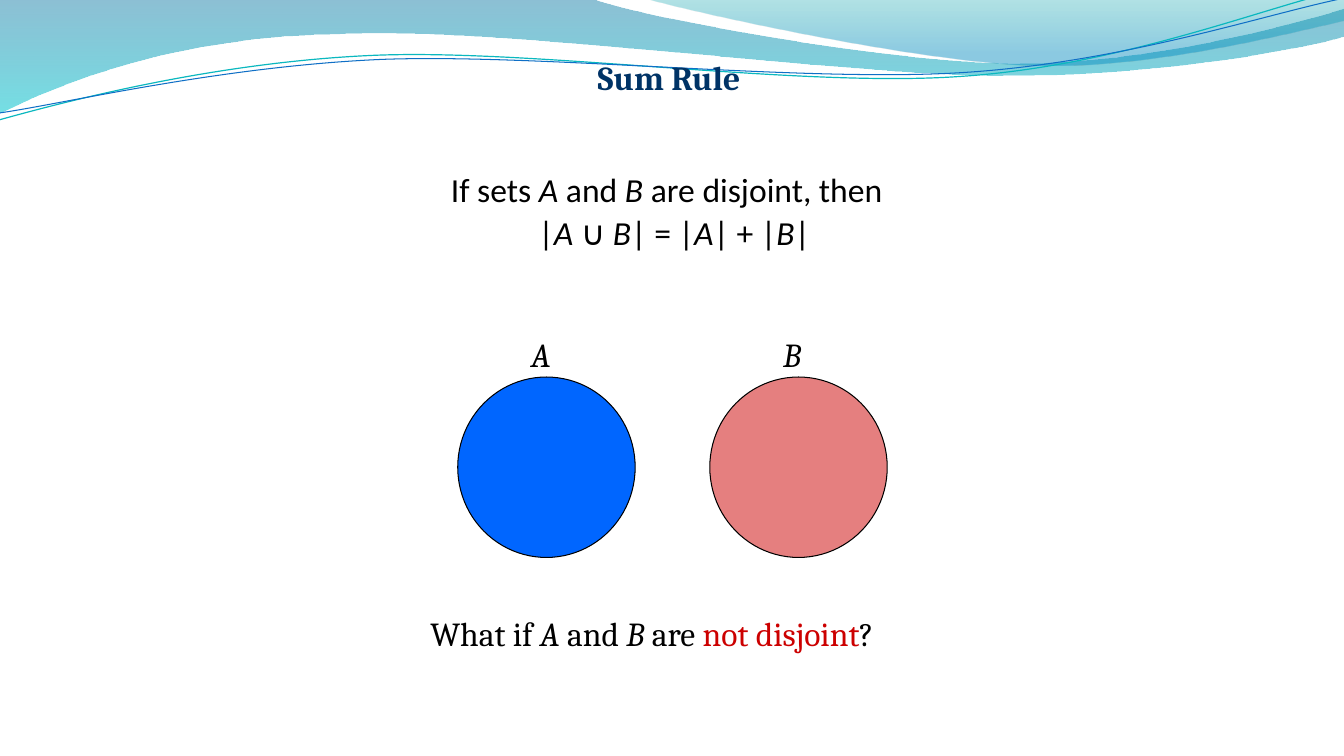
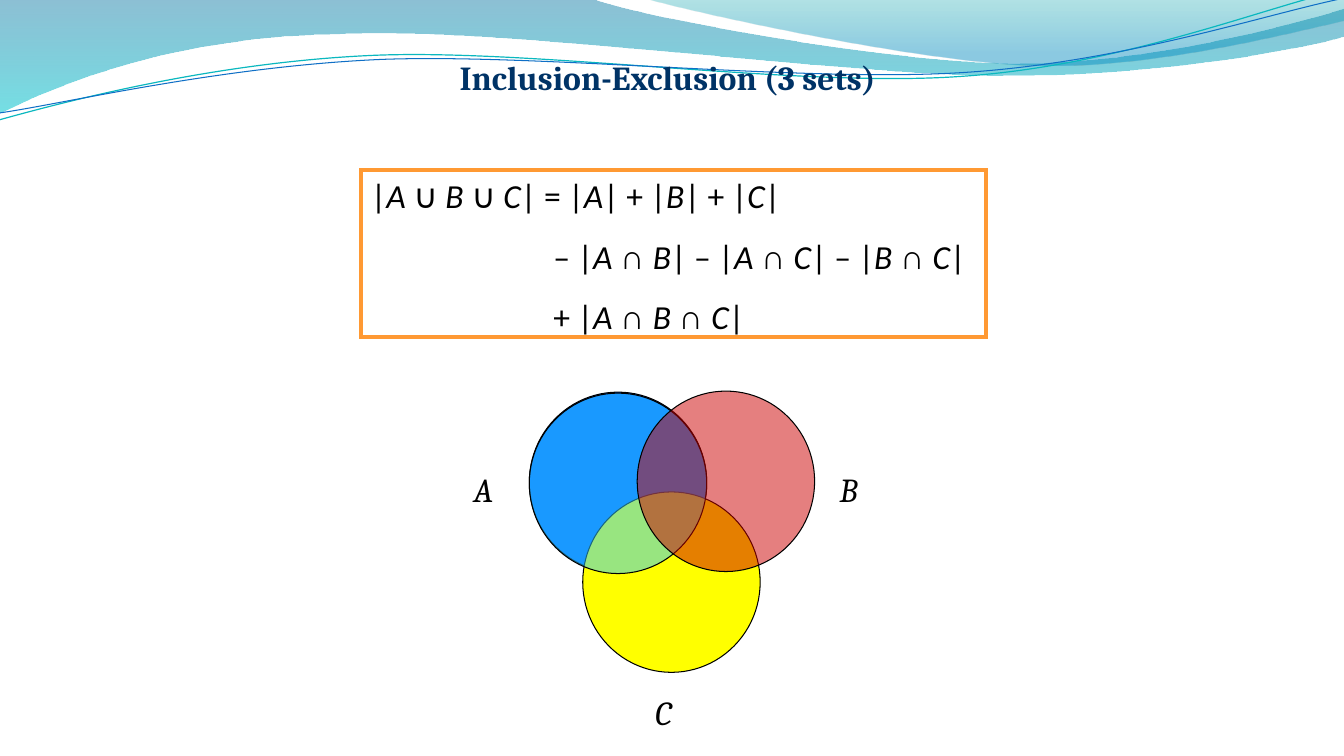
"""Build two slides on counting the members of set unions."""
from math import cos, radians, sin
from lxml import etree
from pptx import Presentation
from pptx.dml.color import RGBColor
from pptx.enum.shapes import MSO_SHAPE as Kind
from pptx.enum.text import MSO_ANCHOR as Anchor, MSO_AUTO_SIZE as Fit, PP_ALIGN as Align
from pptx.oxml.ns import qn
from pptx.util import Inches, Pt

rgb = RGBColor.from_string
BLACK, NAVY, RED, BLUE = "000000", "003366", "CC0000", "0066FF"
ORANGE, YELLOW, SKY = "FF9933", "FFFF00", "33CCFF"
TILT = 2.7


def fade(shape, *levels):
    """Set the opacity, in percent, of the first colours of a shape."""
    for color, level in zip(shape.element.iter(qn("a:srgbClr")), levels):
        etree.SubElement(color, qn("a:alpha"), val=str(level * 1000))


def write(shape, lines, face="Cambria", color=BLACK, bold=None, wrap=False, fit=True):
    """Fill a shape with text; underscores in a line switch italics on and off."""
    frame = shape.text_frame
    frame.word_wrap = wrap
    frame.auto_size = Fit.SHAPE_TO_FIT_TEXT if fit else Fit.NONE
    for row, line in enumerate(lines):
        para = frame.add_paragraph() if row else frame.paragraphs[0]
        font = para.font
        font.name, font.size, font.bold = face, Pt(24), bold
        font.color.rgb = rgb(color)
        for turn, part in enumerate(line.split("_")):
            if part:
                run = para.add_run()
                run.text = part
                if turn % 2:
                    run.font.italic = True
                if part == "∩ ":
                    run.font.name = "Times New Roman"
    return frame.paragraphs


deck = Presentation()
deck.slide_width, deck.slide_height = Inches(13.33), Inches(7.5)
blank = deck.slide_layouts[6]
sums, venn = [deck.slides.add_slide(blank) for _ in range(2)]

bands = [
    ([(0, 0), (5.87, -0.01),
      (6.34, 0.17, 8.85, 0.63, 10.11, 0.63), (11.38, 0.63, 12.78, 0.26, 13.33, 0.09),
      (13.35, 0.36),
      (13.11, 0.44, 11.6, 0.76, 9.94, 0.75), (8.29, 0.75, 5.09, 0.28, 3.43, 0.34),
      (1.72, 0.36, 0.61, 0.83, -0.01, 1.13)],
     [(0, "0074A1", 45), (1, "00C6CF", 55)], None),
    ([(6.39, -0.01),
      (6.79, 0.11, 9.09, 0.62, 10.25, 0.65), (11.41, 0.69, 12.82, 0.32, 13.33, 0.21),
      (13.33, 0)],
     [(0, "00A1A9", 30), (0.8, "008BBF", 45)], None),
    ([(-0.01, 1.19),
      (0.64, 1.01, 2.11, 0.62, 3.69, 0.55), (5.27, 0.48, 7.9, 0.87, 9.5, 0.76),
      (11.1, 0.66, 12.52, 0.08, 13.31, -0.1)],
     None, ("0AB8BF", 0.85, 6.65, 0.57)),
    ([(0, 1.12),
      (0.63, 1.03, 2.18, 0.66, 3.78, 0.59), (5.37, 0.53, 7.96, 0.82, 9.55, 0.72),
      (11.15, 0.62, 12.55, 0.14, 13.34, -0.02)],
     None, ("0F6FC6", 0.75, 6.67, 0.59)),
]
for track, stops, line in bands:
    pieces = [list(zip(piece[::2], piece[1::2])) for piece in track]
    if line:
        midx, midy = line[2:]
        c, s = cos(radians(TILT)), sin(radians(TILT))
        pieces = [[(midx + (x - midx) * c - (y - midy) * s,
                    midy + (x - midx) * s + (y - midy) * c) for x, y in piece]
                  for piece in pieces]
    pieces = [[(Inches(x), Inches(y)) for x, y in piece] for piece in pieces]
    ends = [piece[-1] for piece in pieces]
    pen = sums.shapes.build_freeform(*ends[0])
    pen.add_line_segments(ends[1:], close=bool(stops))
    wave = pen.convert_to_shape()
    for step, piece in zip(list(wave.element.iter(qn("a:lnTo"))), pieces[1:]):
        if len(piece) == 3:
            step.tag = qn("a:cubicBezTo")
            for spot, (x, y) in enumerate(piece[:2]):
                dot = etree.Element(qn("a:pt"), x=str(x - wave.left), y=str(y - wave.top))
                step.insert(spot, dot)
    wave.shadow.inherit = False
    if stops:
        wave.fill.gradient()
        wave.fill.gradient_angle = 270
        for stop, (place, color, _) in zip(wave.fill.gradient_stops, stops):
            stop.position, stop.color.rgb = place, rgb(color)
        fade(wave, *[level for _, _, level in stops])
        wave.line.fill.background()
    else:
        wave.rotation = 360 - TILT
        wave.fill.background()
        wave.line.color.rgb, wave.line.width = rgb(line[0]), Pt(line[1])
    blank.shapes.element.append(wave.element)

discs = [
    (sums, 4.54, 3.74, BLUE, 100),
    (sums, 7.04, 3.74, RED, 50),
    (venn, 5.25, 3.89, BLUE, 100),
    (venn, 5.78, 4.88, YELLOW, 100),
    (venn, 5.25, 3.9, SKY, 50),
    (venn, 6.32, 3.88, RED, 50),
]
for slide, left, top, color, level in discs:
    disc = slide.shapes.add_shape(Kind.OVAL, *map(Inches, (left, top, 1.76, 1.79)))
    disc.shadow.inherit = False
    disc.fill.solid()
    disc.fill.fore_color.rgb = rgb(color)
    disc.line.color.rgb, disc.line.width = rgb(BLACK), Pt(0.75)
    if level < 100:
        fade(disc, level)

labels = [
    (sums, "A", 5.17, 3.26, 0.42), (sums, "B", 7.67, 3.26, 0.4),
    (venn, "A", 4.6, 4.6, 0.42), (venn, "B", 8.23, 4.6, 0.4),
    (venn, "C", 6.4, 6.82, 0.42),
]
for slide, name, left, top, width in labels:
    box = slide.shapes.add_textbox(*map(Inches, (left, top, width, 0.5)))
    write(box, [f"_{name}_"])

titles = [(sums, "Sum Rule", 5.83, 1.7),
          (venn, "Inclusion-Exclusion (3 sets)", 4.46, 4.56)]
for slide, title, left, width in titles:
    box = slide.shapes.add_textbox(*map(Inches, (left, 0.52, width, 0.5)))
    write(box, [title], color=NAVY, bold=True)

rule = sums.shapes.add_textbox(*map(Inches, (2.72, 1.67, 7.86, 1.92)))
paras = write(rule, ["If sets _A_ and _B_ are disjoint, then ",
                     " |_A _∪ _B_| = |_A_| + |_B_|"],
              face="Calibri", wrap=True, fit=False)
for para in paras:
    para.alignment, para.line_spacing = Align.CENTER, 0.9
paras[1].space_before = Pt(4.8)

query = sums.shapes.add_textbox(*map(Inches, (3.67, 6.03, 6, 0.5)))
para = write(query, ["What if_ A_ and _B_ are __not disjoint__?"], wrap=True)[0]
para._p.get_or_add_pPr().set("marL", str(Inches(0.5)))
for run in para.runs:
    if run.text == "not disjoint":
        run.font.color.rgb = rgb(RED)

law = venn.shapes.add_shape(Kind.RECTANGLE, *map(Inches, (3.58, 1.69, 6.2, 1.65)))
law.shadow.inherit = False
law.fill.background()
law.line.color.rgb, law.line.width = rgb(ORANGE), Pt(3)
etree.SubElement(next(law.element.iter(qn("a:ln"))), qn("a:miter"), lim="800000")
law.text_frame.vertical_anchor = Anchor.TOP
paras = write(law, ["|_A _∪ _B _∪ _C_| = |_A_| + |_B_| + |_C_|",
                    "– |_A _∩ _B_| – |_A _∩ _C_| – |_B _∩ _C_|",
                    "+ |_A _∩ _B _∩ _C_|"], face="Calibri")
for row, para in enumerate(paras):
    para.alignment = Align.LEFT
    if row:
        para.line_spacing = 1.5
        para._p.get_or_add_pPr().set("marL", str(Inches(1.81)))

deck.save("out.pptx")
